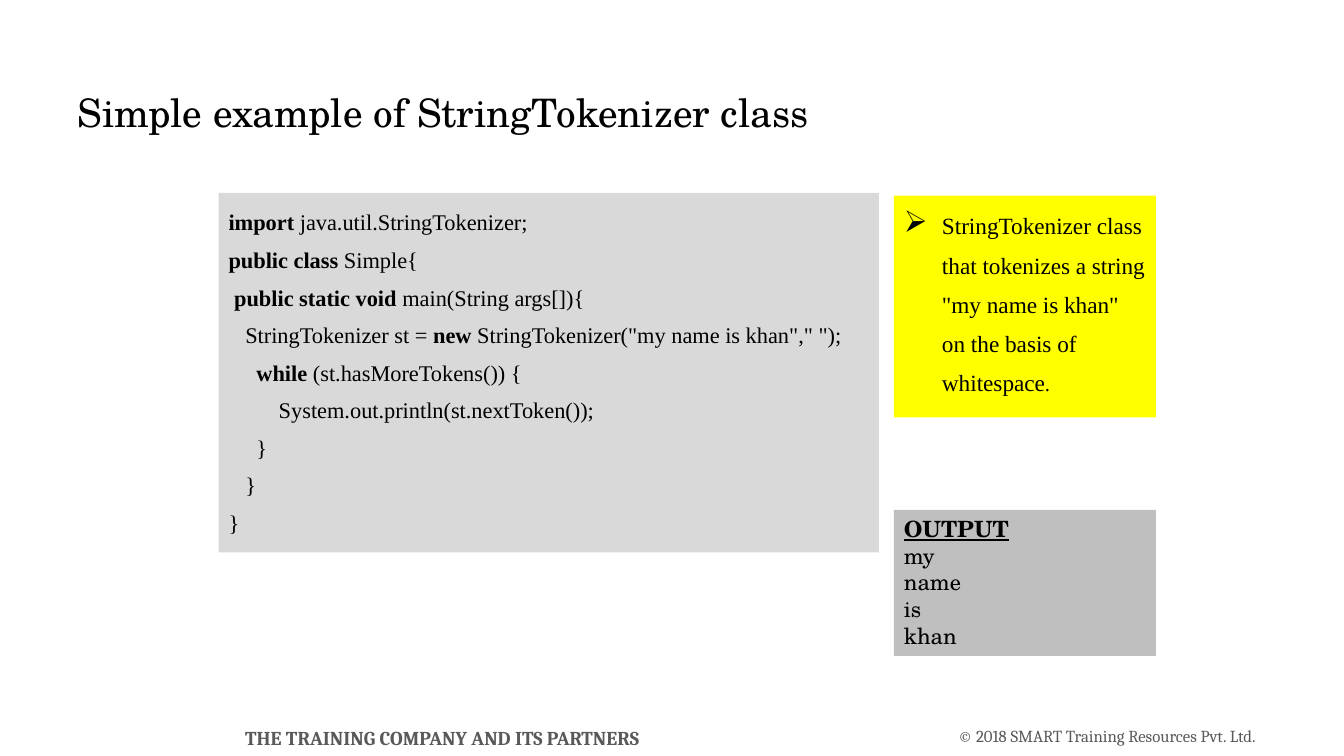
from lxml.etree import SubElement
from pptx import Presentation
from pptx.dml.color import RGBColor
from pptx.enum.shapes import MSO_SHAPE
from pptx.enum.text import MSO_ANCHOR, MSO_AUTO_SIZE, PP_ALIGN
from pptx.oxml.ns import qn
from pptx.util import Cm, Pt

CODE = [
    "**import** java.util.StringTokenizer;",
    "**public class** Simple{",
    " **public static void** main(String args[]){",
    '   StringTokenizer st = **new** StringTokenizer("my name is khan"," ");',
    "     **while** (st.hasMoreTokens()) {",
    "         System.out.println(st.nextToken());",
    "     }",
    "   }",
    "}",
]
OUTPUT = ["my", "name", "is", "khan"]
EXPLANATION = (
    'StringTokenizer class that tokenizes a string "my name is khan" '
    "on the basis of whitespace"
)

CODE_FONT = {"name": "Times New Roman", "size": Pt(16)}
NOTE_FONT = {"name": "Times New Roman", "size": Pt(16.6)}
HEADING_FONT = {"name": "TeX Gyre Schola", "size": Pt(28)}
OUTPUT_FONT = {"name": "TeX Gyre Schola", "size": Pt(16)}
FOOTER_FONT = {"name": "Cambria", "size": Pt(14), "bold": True}
COPYRIGHT_FONT = {"name": "Cambria", "size": Pt(12)}


def paint(color_format, color):
    """Set a colour format from a hex string."""
    color_format.rgb = RGBColor.from_string(color)


def apply(target, values):
    """Set each attribute named in a dict of format values."""
    for name, value in values.items():
        setattr(target, name, value)


def add_run(paragraph, text, font, color="000000"):
    """Append a formatted run to a paragraph."""
    run = paragraph.add_run()
    run.text = text
    apply(run.font, font)
    paint(run.font.color, color)


def next_paragraph(frame):
    """Return the empty first paragraph, or a new one once it is used."""
    first = frame.paragraphs[0]
    return frame.add_paragraph() if first.runs else first


def add_panel(slide, bounds, fill):
    """Add a filled rectangle and return its top-anchored text frame."""
    panel = slide.shapes.add_shape(MSO_SHAPE.RECTANGLE, *map(Cm, bounds))
    panel.shadow.inherit = False
    panel.fill.solid()
    paint(panel.fill.fore_color, fill)
    panel.line.fill.background()
    apply(panel.text_frame, {"word_wrap": True, "vertical_anchor": MSO_ANCHOR.TOP})
    return panel.text_frame


def add_line(frame, line_spacing=1.0):
    """Start a left-aligned paragraph in a panel."""
    paragraph = next_paragraph(frame)
    apply(paragraph, {"alignment": PP_ALIGN.LEFT, "line_spacing": line_spacing})
    return paragraph


def add_code(slide, bounds, fill, lines):
    """Add a code panel whose keywords are marked by double asterisks."""
    frame = add_panel(slide, bounds, fill)
    for line in lines:
        paragraph = add_line(frame, 1.4)
        for position, part in enumerate(line.split("**")):
            if part:
                add_run(paragraph, part, {**CODE_FONT, "bold": position % 2 == 1})


def add_arrow_bullet(paragraph):
    """Give a paragraph a hanging arrowhead bullet."""
    properties = paragraph._p.get_or_add_pPr()
    properties.set("marL", str(Cm(0.96)))
    properties.set("indent", str(Cm(-0.96)))
    SubElement(properties, qn("a:buSzPct"), val="130000")
    SubElement(properties, qn("a:buChar"), char="➢")


def add_explanation(slide, bounds, fill, text):
    """Add the bulleted explanation with its smaller full stop."""
    paragraph = add_line(add_panel(slide, bounds, fill), 1.4)
    add_arrow_bullet(paragraph)
    add_run(paragraph, text, NOTE_FONT)
    add_run(paragraph, ".", {**NOTE_FONT, "size": Pt(14.8)})


def add_output(slide, bounds, fill, lines):
    """Add the program output under an underlined heading."""
    frame = add_panel(slide, bounds, fill)
    add_run(add_line(frame), "OUTPUT", {**OUTPUT_FONT, "bold": True, "underline": True})
    for line in lines:
        add_run(add_line(frame), line, OUTPUT_FONT)


def add_footer(slide, bounds, text, font, wrap):
    """Add centred grey footer text without margins."""
    frame = slide.shapes.add_textbox(*map(Cm, bounds)).text_frame
    margins = dict.fromkeys(
        ("margin_left", "margin_top", "margin_right", "margin_bottom"), 0
    )
    apply(frame, {**margins, "word_wrap": wrap, "vertical_anchor": MSO_ANCHOR.MIDDLE})
    frame.paragraphs[0].alignment = PP_ALIGN.CENTER
    add_run(frame.paragraphs[0], text, font, "595959")


def set_title(slide, bounds, text):
    """Place and format the title placeholder."""
    title = slide.shapes.title
    apply(title, dict(zip(("left", "top", "width", "height"), map(Cm, bounds))))
    apply(
        title.text_frame,
        {"vertical_anchor": MSO_ANCHOR.TOP, "auto_size": MSO_AUTO_SIZE.NONE},
    )
    add_run(add_line(title.text_frame), text, HEADING_FONT)


def main():
    """Build and save the slide."""
    deck = Presentation()
    apply(deck, {"slide_width": Cm(33.87), "slide_height": Cm(19.05)})
    slide = deck.slides.add_slide(deck.slide_layouts[5])

    add_footer(slide, (2.82, 18.29, 16.66, 0.61),
               "THE TRAINING COMPANY AND ITS PARTNERS", FOOTER_FONT, True)
    add_footer(slide, (23.85, 18.29, 8.1, 0.51),
               "© 2018 SMART Training Resources Pvt. Ltd.", COPYRIGHT_FONT, False)
    set_title(slide, (1.7, 2.11, 30.48, 2.54), "Simple example of StringTokenizer class")
    add_code(slide, (5.51, 4.86, 16.64, 9.06), "D9D9D9", CODE)
    add_output(slide, (22.53, 12.85, 6.6, 3.68), "BFBFBF", OUTPUT)
    add_explanation(slide, (22.53, 4.93, 6.6, 5.59), "FFFF00", EXPLANATION)

    deck.save("out.pptx")


if __name__ == "__main__":
    main()
